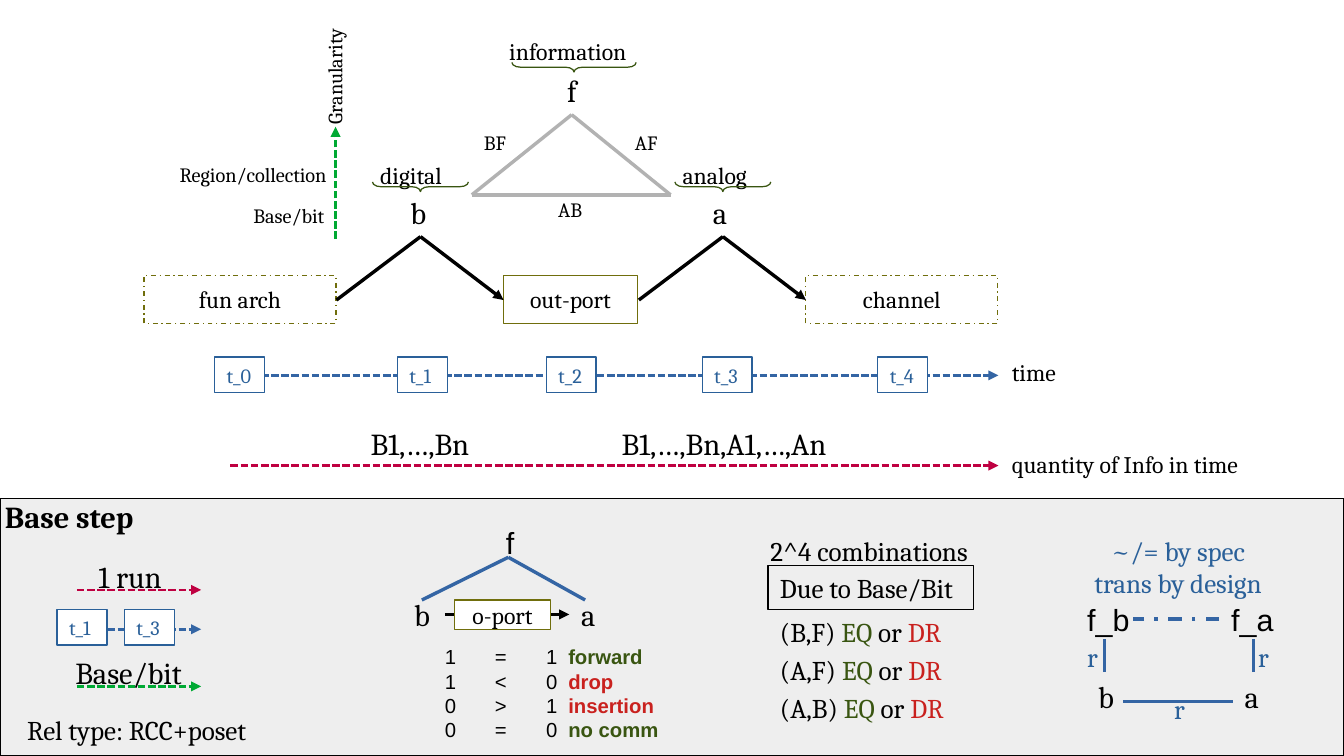
from dataclasses import dataclass

from lxml.etree import SubElement
from pptx import Presentation
from pptx.dml.color import RGBColor
from pptx.enum.dml import MSO_LINE
from pptx.enum.shapes import MSO_CONNECTOR, MSO_SHAPE
from pptx.enum.text import MSO_ANCHOR, MSO_AUTO_SIZE, PP_ALIGN
from pptx.oxml.ns import qn
from pptx.util import Cm, Pt


@dataclass(frozen=True)
class Theme:
    serif: str = "Cambria"
    sans: str = "Arial"
    large: int = 18
    medium: int = 16
    body: int = 14
    small: int = 12
    hairline: float = 0
    thick: float = 1.5
    black: str = "000000"
    white: str = "FFFFFF"
    panel: str = "EEEEEE"
    grey: str = "B2B2B2"
    olive: str = "706E0C"
    moss: str = "395511"
    red: str = "C9211E"
    crimson: str = "BF0041"
    green: str = "00A933"
    blue: str = "3465A4"
    navy: str = "2A6099"


def apply(target, values):
    for name, value in values.items():
        setattr(target, name, value)


class Canvas:
    """Draws on one slide; every length is in centimetres."""

    def __init__(self, page, theme):
        self.page, self.theme = page, theme

    def fill_text(self, shape, content, size=None, font=None, color=None, bold=False,
                  align=PP_ALIGN.LEFT, wrap=False, anchor=MSO_ANCHOR.TOP, grow=True, tab=None):
        """Content is a string, or a list of paragraphs made of (text, colour, bold)."""
        theme = self.theme
        if isinstance(content, str):
            content = [[(line, color or theme.black, bold)] for line in content.split("\n")]
        frame = shape.text_frame
        fit = MSO_AUTO_SIZE.SHAPE_TO_FIT_TEXT if grow else MSO_AUTO_SIZE.NONE
        apply(frame, {"word_wrap": wrap, "auto_size": fit, "vertical_anchor": anchor})
        for index, spans in enumerate(content):
            para = frame.add_paragraph() if index else frame.paragraphs[0]
            para.alignment = align
            if tab:
                stops = SubElement(para._p.get_or_add_pPr(), qn("a:tabLst"))
                SubElement(stops, qn("a:tab"), pos=str(Cm(tab)), algn="l")
            for text, span_color, span_bold in spans:
                span = para.add_run()
                span.text = text
                apply(span.font, {"name": font or theme.serif, "bold": span_bold,
                                  "size": Pt(size or theme.body)})
                span.font.color.rgb = RGBColor.from_string(span_color)

    def title(self, text, area, **style):
        title = self.page.shapes.title
        apply(title, dict(zip(("left", "top", "width", "height"), map(Cm, area))))
        self.fill_text(title, text, **style)
        self.page.shapes._spTree.append(title._element)

    def text(self, content, area, rotation=0, **style):
        box = self.page.shapes.add_textbox(*map(Cm, area))
        box.rotation = rotation
        self.fill_text(box, content, **style)

    def stroke(self, line, color, width, dash):
        line.color.rgb = RGBColor.from_string(color)
        apply(line, {"width": Pt(width), "dash_style": dash})

    def box(self, area, line, fill=None, content=None, dash=None, kind=MSO_SHAPE.RECTANGLE, **style):
        box = self.page.shapes.add_shape(kind, *map(Cm, area))
        box.shadow.inherit = False
        if fill:
            box.fill.solid()
            box.fill.fore_color.rgb = RGBColor.from_string(fill)
        else:
            box.fill.background()
        self.stroke(box.line, line, self.theme.hairline, dash)
        if content:
            self.fill_text(box, content, **style)
        return box

    def block(self, text, area, **style):
        self.box(area, self.theme.olive, content=text, align=PP_ALIGN.CENTER,
                 anchor=MSO_ANCHOR.MIDDLE, grow=False, **style)

    def moment(self, text, left, top):
        theme = self.theme
        self.box((left, top, 1.04, 0.74), theme.navy, theme.white, text,
                 size=theme.small, color=theme.navy, wrap=True)

    def brace(self, center, middle, length, depth=0.2):
        area = (center - depth / 2, middle - length / 2, depth, length)
        brace = self.box(area, self.theme.moss, kind=MSO_SHAPE.LEFT_BRACE)
        brace.rotation = 270
        brace.adjustments[0] = 0.9

    def line(self, start, end, color, width=0, dash=None, arrow=False):
        line = self.page.shapes.add_connector(MSO_CONNECTOR.STRAIGHT, *map(Cm, start + end))
        self.stroke(line.line, color, width, dash)
        if arrow:
            SubElement(line.line._get_or_add_ln(), qn("a:tailEnd"), type="triangle")
        SubElement(line._element.spPr, qn("a:effectLst"))

    def axis(self, start, end, color):
        self.line(start, end, color, self.theme.thick, MSO_LINE.SQUARE_DOT, arrow=True)


def draw_timeline(canvas, theme):
    for text, color, y, label_top in (("time", theme.blue, 7.82, 7.34),
                                      ("quantity of Info in time", theme.crimson, 9.7, 9.25)):
        canvas.axis((4.8, y), (20.8, y), color)
        canvas.text(text, (20.83, label_top, 5.36, 0.97))
    for index, left in enumerate((4.47, 8.28, 11.38, 14.63, 18.29)):
        canvas.moment(f"t_{index}", left, 7.44)
    canvas.text("B1,…,Bn", (7.47, 8.74, 2.72, 1), size=theme.large)
    canvas.text("B1,…,Bn,A1,…,An", (12.7, 8.74, 5.11, 1), size=theme.large)


def draw_architecture(canvas, theme):
    canvas.block("fun arch", (3, 5.74, 4, 1), dash=MSO_LINE.DASH_DOT)
    canvas.block("out-port", (10.49, 5.74, 2.79, 1), fill=theme.white)
    canvas.block("channel", (16.79, 5.74, 4, 1), dash=MSO_LINE.DASH_DOT)
    for shift, letter, label in ((0, "b", "digital"), (6.3, "a", "analog")):
        peak = (8.76 + shift, 4.93)
        canvas.line((7.01 + shift, 6.25), peak, theme.black)
        canvas.line(peak, (10.49 + shift, 6.25), theme.black, arrow=True)
        canvas.text(letter, (8.3 + shift, 3.91, 0.91, 1), size=theme.large)
        canvas.text(label, (7.67 + shift, 3.23, 2.16, 0.84), wrap=True)
        canvas.brace(peak[0], 3.89, 2)

    canvas.text("f", (11.56, 1.37, 0.71, 1), size=theme.large, align=PP_ALIGN.CENTER)
    canvas.text("information", (10.36, 0.64, 3.25, 0.84), wrap=True)
    canvas.brace(11.96, 1.4, 2.59)
    corners = [(9.83, 4.06), (11.91, 2.39), (13.97, 4.06)]
    for start, end in zip(corners, corners[1:] + corners[:1]):
        canvas.line(start, end, theme.grey)
    for text, left, top in (("AB", 11.38, 3.99), ("BF", 9.83, 2.59), ("AF", 12.98, 2.59)):
        canvas.text(text, (left, top, 1, 0.74), size=theme.small)

    canvas.text("Granularity", (5.66, 1.17, 2.59, 0.74), rotation=270, size=theme.small, wrap=True)
    canvas.axis((6.99, 4.98), (6.99, 2.64), theme.green)
    for text, area in (("Base/bit", (4.95, 4.11, 2.06, 0.74)),
                       ("Region/collection", (3.35, 3.25, 3.71, 0.74))):
        canvas.text(text, area, size=theme.small, align=PP_ALIGN.RIGHT)


def draw_run(canvas, theme):
    canvas.text("1 run", (1.8, 11.51, 1.96, 1), size=theme.large)
    for y, color in ((12.29, theme.crimson), (13.11, theme.blue), (14.3, theme.green)):
        canvas.axis((1.6, y), (4.19, y), color)
    canvas.moment("t_1", 1.19, 12.7)
    canvas.moment("t_3", 2.59, 12.7)
    canvas.text("Base/bit", (1.32, 13.51, 2.84, 1), size=theme.large)
    canvas.text("Rel type: RCC+poset", (0.08, 14.73, 5.54, 0.91), size=theme.medium,
                align=PP_ALIGN.CENTER, wrap=True)


def draw_port(canvas, theme):
    canvas.text("b", (8.38, 12.29, 0.9, 1), size=theme.large)
    canvas.text("a", (11.86, 12.29, 0.9, 1), size=theme.large)
    canvas.text("f", (10.29, 10.8, 0.9, 1), size=theme.large, font=theme.sans)
    canvas.line((9.27, 12.8), (11.86, 12.8), theme.black, arrow=True)
    canvas.block("o-port", (9.47, 12.5, 2, 0.61), fill=theme.white)
    for foot in (8.79, 12.19):
        canvas.line((foot, 12.5), (10.59, 11.61), theme.blue)
    outcomes = [[(f"{bit}\t", theme.black, False), (name, color, True)]
                for bit, name, color in ((1, "forward", theme.moss), (0, "drop", theme.red),
                                         (1, "insertion", theme.red), (0, "no comm", theme.moss))]
    for content, left, width in (("1\n1\n0\n0", 9.02, 0.74), ("=\n<\n>\n=", 10.06, 0.74),
                                 (outcomes, 11.13, 3.48)):
        canvas.text(content, (left, 13.3, width, 2.16), size=theme.small, font=theme.sans, tab=0.46)


def draw_combinations(canvas, theme):
    canvas.text("2^4 combinations", (15.8, 11, 4.9, 0.91), size=theme.medium, wrap=True)
    canvas.box((16, 11.79, 4.29, 0.91), theme.black, content="Due to Base/Bit", size=theme.medium)
    for row, pair in enumerate(("(B,F)", "(A,F)", "(A,B)")):
        spans = [(f"{pair} ", theme.black, False), ("EQ", theme.moss, False),
                 (" or ", theme.black, False), ("DR", theme.red, False)]
        canvas.text([spans], (16, 12.7 + 0.79 * row, 4.04, 0.91), size=theme.medium)


def draw_relations(canvas, theme):
    canvas.text("~/= by spec\ntrans by design", (22.4, 11, 4.29, 1.6), size=theme.medium,
                color=theme.navy, align=PP_ALIGN.CENTER, wrap=True)
    for text, left, top, font in (("f_b", 22.4, 12.4, theme.sans), ("f_a", 25.4, 12.4, theme.sans),
                                  ("b", 22.63, 14, theme.serif), ("a", 25.68, 14, theme.serif)):
        canvas.text(text, (left, top, 1.4 if "_" in text else 0.91, 1), size=theme.large, font=font)
    for x in (23.01, 26.11):
        canvas.line((x, 14), (x, 13.31), theme.blue)
    canvas.line((25.68, 14.61), (23.39, 14.61), theme.blue)
    canvas.line((25.4, 12.9), (23.6, 12.9), theme.blue, dash=MSO_LINE.DASH_DOT)
    for left, top in ((22.4, 13.21), (24.21, 14.3), (25.96, 13.21)):
        canvas.text("r", (left, top, 0.74, 0.91), size=theme.medium, color=theme.navy)


def main():
    deck = Presentation()
    apply(deck, {"slide_width": Cm(28), "slide_height": Cm(15.75)})
    theme = Theme()
    canvas = Canvas(deck.slides.add_slide(deck.slide_layouts[5]), theme)
    draw_timeline(canvas, theme)
    draw_architecture(canvas, theme)
    canvas.box((0, 10.39, 28, 5.36), theme.black, theme.panel)
    canvas.title("Base step", (-0.15, 10.24, 3.51, 1), size=theme.large, bold=True)
    for draw in (draw_run, draw_port, draw_combinations, draw_relations):
        draw(canvas, theme)
    deck.save("out.pptx")


if __name__ == "__main__":
    main()
